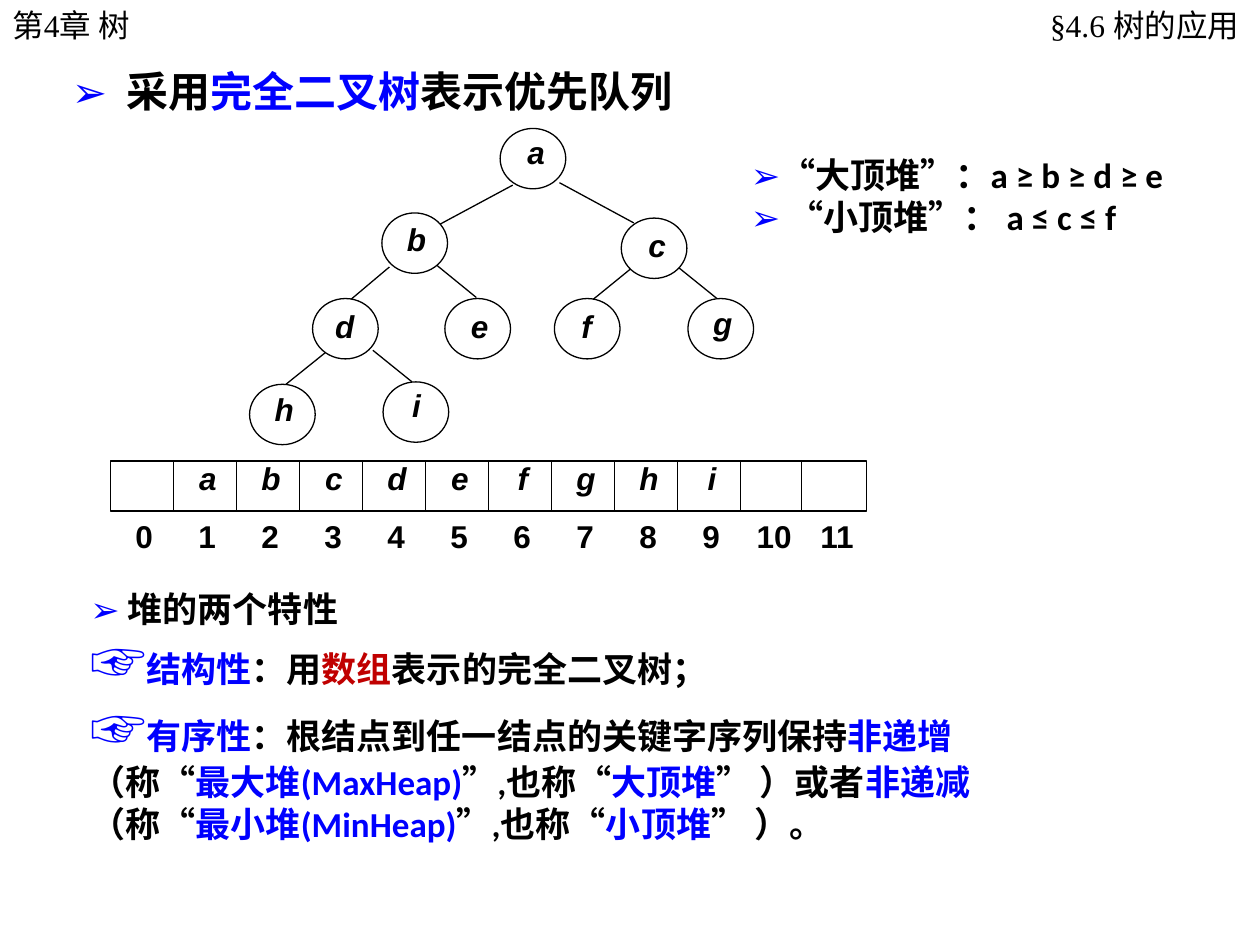
from typing import NamedTuple

from lxml.etree import SubElement
from pptx import Presentation
from pptx.dml.color import RGBColor
from pptx.enum.shapes import MSO_CONNECTOR, MSO_SHAPE
from pptx.enum.text import MSO_ANCHOR, MSO_AUTO_SIZE, PP_ALIGN
from pptx.oxml.ns import qn
from pptx.util import Pt

COLORS = {"black": "000000", "white": "FFFFFF", "blue": "0000FF", "red": "C00000"}


class Run(NamedTuple):
    text: str
    color: str = "black"
    size: float = 20


class Node(NamedTuple):
    letter: str
    x: float
    y: float
    label_x: float
    label_y: float


class Edge(NamedTuple):
    x1: float
    y1: float
    x2: float
    y2: float


class Box(NamedTuple):
    x: float
    y: float
    w: float
    h: float


NODES = [
    Node("a", 285.8, 73.4, 297.4, 82.8),
    Node("b", 218.2, 121.7, 229, 132.5),
    Node("c", 355, 124.6, 366.5, 136.1),
    Node("d", 178.6, 170.6, 188, 182.2),
    Node("e", 254.2, 170.6, 265, 182.2),
    Node("f", 316.8, 170.6, 326.2, 182.2),
    Node("g", 393.1, 170.6, 404, 180.7),
    Node("h", 142.6, 219.6, 153.4, 229.7),
    Node("i", 218.9, 218.2, 229, 227.5),
]
EDGES = [
    Edge(293, 105.8, 251.3, 128.2),
    Edge(319.7, 104.4, 362.2, 127.4),
    Edge(222.5, 152.6, 200.2, 171.4),
    Edge(249.1, 151.2, 272.2, 170),
    Edge(360.7, 153.4, 337.7, 172.1),
    Edge(387.4, 152.6, 409.7, 170.6),
    Edge(185.8, 201.6, 163.4, 219.6),
    Edge(213.1, 200.2, 235.4, 218.2),
]
ARRAY = Box(63, 263.5, 432, 28.5)
CELL = 36
LAST_DIVIDER = 458


def rgb(name: str) -> RGBColor:
    return RGBColor.from_string(COLORS[name])


def write(sp, paragraphs, font="Calibri", bold=True, italic=False, align=PP_ALIGN.LEFT,
          spacing=None, insets=(7.2, 3.6, 7.2, 3.6), tabs=(), tab_align="l", wrap=True):
    tf = sp.text_frame
    tf.word_wrap = wrap
    tf.vertical_anchor = MSO_ANCHOR.TOP
    tf.margin_left, tf.margin_top, tf.margin_right, tf.margin_bottom = map(Pt, insets)
    for i, runs in enumerate(paragraphs):
        p = tf.add_paragraph() if i else tf.paragraphs[0]
        p.alignment = align
        if spacing:
            p.line_spacing = spacing
        if tabs:
            tab_list = SubElement(p._p.get_or_add_pPr(), qn("a:tabLst"))
            for pos in tabs:
                SubElement(tab_list, qn("a:tab"), pos=str(Pt(pos)), algn=tab_align)
        for run in runs:
            r = p.add_run()
            r.text = run.text
            r.font.name = font
            r.font.size = Pt(run.size)
            r.font.bold = bold
            r.font.italic = italic
            r.font.color.rgb = rgb(run.color)


def add_text(s, box: Box, paragraphs, **fmt):
    sp = s.shapes.add_textbox(*map(Pt, box))
    write(sp, paragraphs, **fmt)
    sp.text_frame.auto_size = MSO_AUTO_SIZE.SHAPE_TO_FIT_TEXT


def add_shape(s, kind, box: Box, outlined: bool = True):
    sp = s.shapes.add_shape(kind, *map(Pt, box))
    sp.shadow.inherit = False
    sp.fill.solid()
    sp.fill.fore_color.rgb = rgb("white")
    if outlined:
        sp.line.color.rgb = rgb("black")
        sp.line.width = Pt(0.75)
    else:
        sp.line.fill.background()
    return sp


def add_line(s, edge: Edge):
    cx = s.shapes.add_connector(MSO_CONNECTOR.STRAIGHT, *map(Pt, edge))
    cx.line.color.rgb = rgb("black")
    cx.line.width = Pt(0.75)
    SubElement(cx._element.spPr, qn("a:effectLst"))
    return cx


def add_tree(s):
    for edge in EDGES:
        add_line(s, edge)
    for node in NODES:
        add_shape(s, MSO_SHAPE.OVAL, Box(node.x, node.y, 37.5, 34.5))
    for node in NODES:
        sp = add_shape(s, MSO_SHAPE.RECTANGLE, Box(node.label_x, node.label_y, 18, 14.4), False)
        write(sp, [[Run(node.letter, size=18)]], font="Arial", italic=True,
              align=PP_ALIGN.CENTER, spacing=0.64, insets=(0, 0, 0, 0))


def add_array(s):
    row = dict(font="Arial", spacing=0.96, insets=(5.8, 0, 2.9, 0), tab_align="ctr")
    cells = add_shape(s, MSO_SHAPE.RECTANGLE, ARRAY)
    letters = "".join(f"\t{node.letter}" for node in NODES)
    write(cells, [[Run(letters, size=18)]], italic=True,
          tabs=[50 + CELL * i for i in range(len(NODES))], **row)
    indexes = add_shape(s, MSO_SHAPE.RECTANGLE, Box(62, 296.6, 450, 23.8), False)
    numbers = "".join(f"\t{i}" for i in range(12))
    write(indexes, [[Run(numbers, size=18)]], tabs=[14.5 + CELL * i for i in range(12)], **row)
    bottom = ARRAY.y + ARRAY.h
    for x in [ARRAY.x + CELL * i for i in range(1, 11)] + [LAST_DIVIDER]:
        cx = add_line(s, Edge(x, bottom, x, ARRAY.y))
        if x == ARRAY.x + ARRAY.w / 2:
            cx.begin_connect(cells, 2)
            cx.end_connect(cells, 0)


def main():
    prs = Presentation()
    prs.slide_width, prs.slide_height = Pt(720), Pt(540)
    s = prs.slides.add_slide(prs.slide_layouts[6])

    header = dict(font="Times New Roman", bold=False)
    add_text(s, Box(0, 0, 150, 29), [[Run("第4章 树", size=18)]], **header)
    add_text(s, Box(445, 0, 274.5, 29), [[Run("§4.6 树的应用", size=18)]],
             align=PP_ALIGN.RIGHT, insets=(8.6, 3.6, 11.5, 3.6), **header)
    add_text(s, Box(34, 34, 388, 36), [[
        Run("➢\t", "blue", 24), Run("采用", size=24),
        Run("完全二叉树", "blue", 24), Run("表示优先队列", size=24)]], tabs=[31])
    add_tree(s)
    add_array(s)
    add_text(s, Box(44.6, 332, 157.7, 31.7),
             [[Run("➢ ", "blue"), Run("堆的两个特性")]], wrap=False)
    add_text(s, Box(44.6, 354.2, 540, 133.2), [
        [Run("☞", "blue", 32), Run("结构性", "blue"), Run("：用"),
         Run("数组", "red"), Run("表示的完全二叉树；")],
        [Run("☞", "blue", 32), Run("有序性", "blue"),
         Run("：根结点到任一结点的关键字序列保持"), Run("非递增", "blue"),
         Run("（称“"), Run("最大堆(MaxHeap)", "blue"), Run("”,也称“"),
         Run("大顶堆", "blue"), Run("” ）或者"), Run("非递减", "blue"),
         Run("（称“"), Run("最小堆(MinHeap)", "blue"), Run("”,也称“"),
         Run("小顶堆", "blue"), Run("” ）。")]])
    add_text(s, Box(422, 84.2, 270, 55.4), [
        [Run("➢", "blue"), Run("“大顶堆”：a ≥ b ≥ d ≥ e")],
        [Run("➢", "blue"), Run(" “小顶堆”： a ≤ c ≤ f")]])
    prs.save("out.pptx")


if __name__ == "__main__":
    main()
